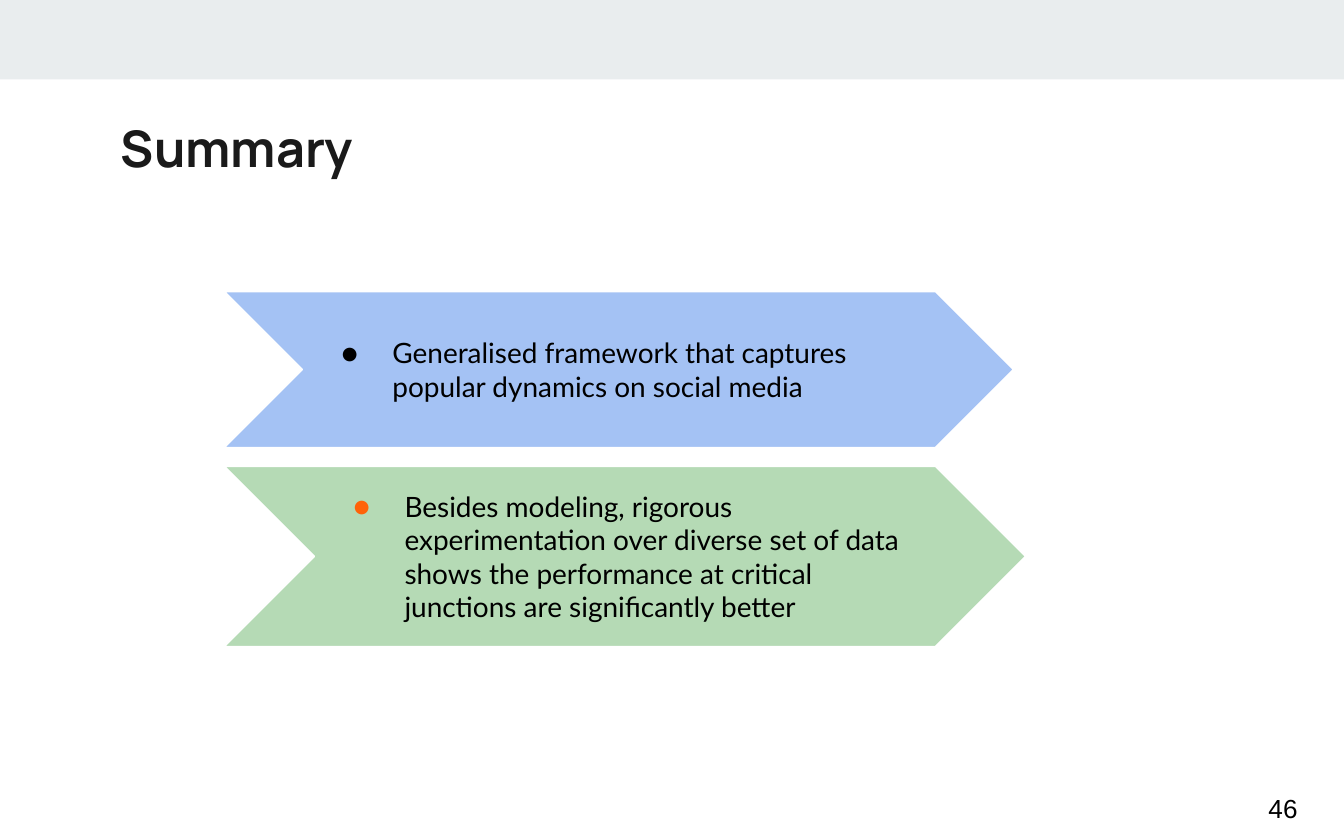
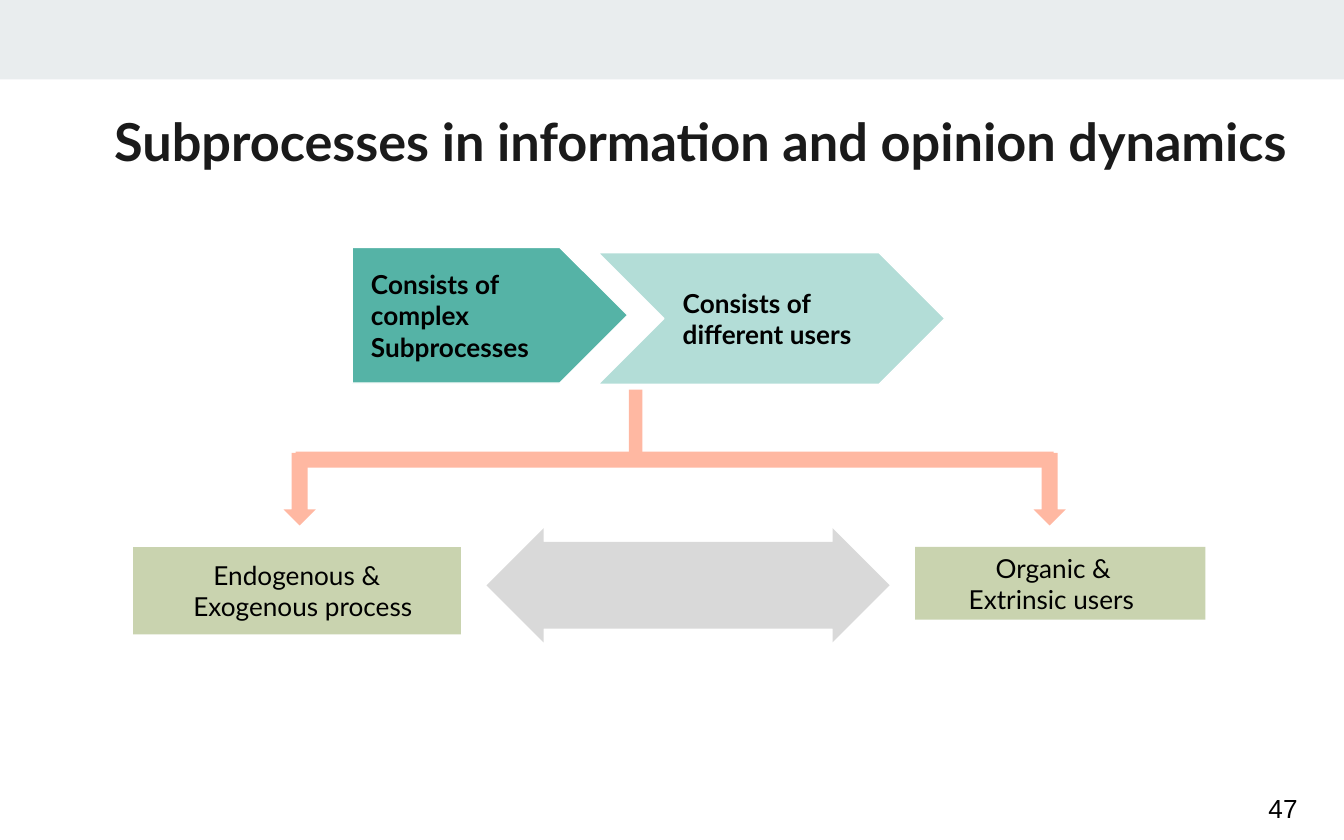
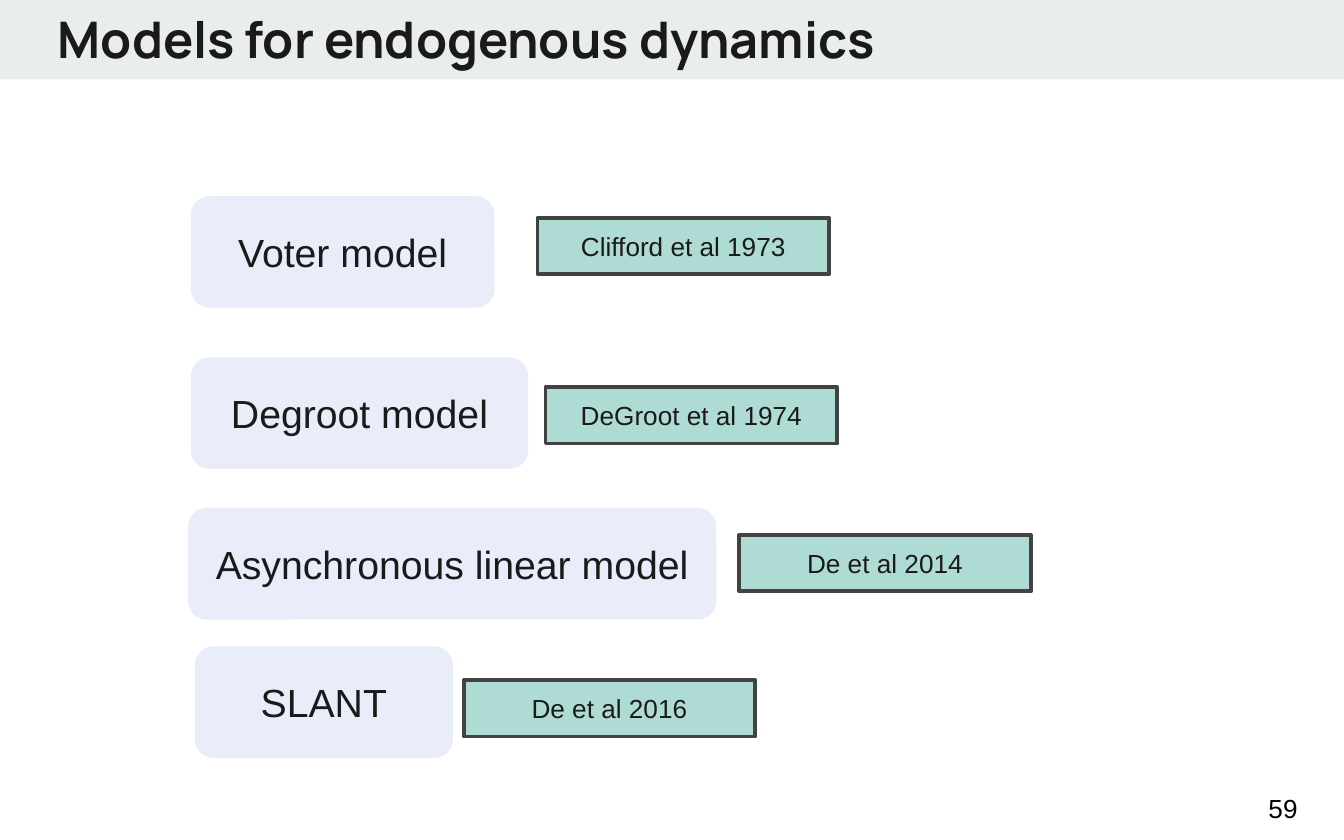
from lxml.etree import SubElement
from pptx import Presentation
from pptx.dml.color import RGBColor
from pptx.enum.shapes import MSO_SHAPE as Shape
from pptx.enum.text import MSO_ANCHOR as Anchor, MSO_AUTO_SIZE as AutoSize, PP_ALIGN as Align
from pptx.oxml.ns import qn
from pptx.util import Inches, Pt

COLORS = {
    "band": "E9EDEE",
    "title": "1A1A1A",
    "text": "000000",
    "white": "FFFFFF",
    "blue": "A4C2F4",
    "green": "008000",
    "orange": "FF6309",
    "teal": "1A9988",
    "olive": "A8B97F",
    "gray": "D9D9D9",
    "peach": "FFB8A2",
    "lavender": "C4D1F1",
    "border": "424242",
}
TITLE_LAYOUT = 5
BAND_BOX = (0, 0, 10, 0.59)
NUMBER_BOX = (9.34, 5.77, 0.6, 0.48)


def color(name):
    return RGBColor.from_string(COLORS[name])


def write(shape, text, size, font="Lato", ink="text", bold=False,
          align=Align.LEFT, anchor=Anchor.MIDDLE, inset=0.1):
    frame = shape.text_frame
    frame.text = text
    frame.word_wrap = True
    frame.auto_size = AutoSize.NONE
    frame.vertical_anchor = anchor
    frame.margin_left = frame.margin_right = Inches(inset)
    frame.margin_top = frame.margin_bottom = Inches(inset)
    for para in frame.paragraphs:
        para.alignment = align
        for span in para.runs:
            span.font.name = font
            span.font.size = Pt(size)
            span.font.bold = bold
            span.font.color.rgb = color(ink)


def indent(shape, margins, hanging=0):
    for properties, margin in zip(shape.element.iter(qn("a:pPr")), margins):
        properties.set("marL", str(Inches(margin)))
        properties.set("indent", str(Inches(-hanging)))


def add_bullet(shape, ink):
    properties = next(shape.element.iter(qn("a:pPr")))
    bullet_color = SubElement(properties, qn("a:buClr"))
    SubElement(bullet_color, qn("a:srgbClr"), val=COLORS[ink])
    SubElement(properties, qn("a:buFont"), typeface="Lato")
    SubElement(properties, qn("a:buChar"), char="●")


def add_block(page, kind, box, fill, opacity=100, line=None, weight=0.75):
    shape = page.shapes.add_shape(kind, *map(Inches, box))
    shape.shadow.inherit = False
    shape.fill.solid()
    shape.fill.fore_color.rgb = color(fill)
    if opacity < 100:
        tint = shape.element.spPr.find(qn("a:solidFill"))[0]
        SubElement(tint, qn("a:alpha"), val=str(opacity * 1000))
    if line:
        shape.line.color.rgb = color(line)
        shape.line.width = Pt(weight)
    else:
        shape.line.fill.background()
    return shape


def add_page(deck, title, box, number, font="Manrope", size=27):
    page = deck.slides.add_slide(deck.slide_layouts[TITLE_LAYOUT])
    heading = page.shapes.title
    heading.left, heading.top, heading.width, heading.height = map(Inches, box)
    write(heading, title, size, font, "title", True, anchor=Anchor.TOP)
    label = page.shapes.add_textbox(*map(Inches, NUMBER_BOX))
    write(label, str(number), 14, "Arial")
    return page


def move_band_to_layout(deck, page):
    band = add_block(page, Shape.RECTANGLE, BAND_BOX, "band")
    deck.slide_layouts[TITLE_LAYOUT].shapes.element.insert(2, band.element)


def add_point(page, box, text, fill, opacity, bullet):
    chevron = add_block(page, Shape.CHEVRON, box, fill, opacity, "white")
    write(chevron, text, 15, inset=0.14)
    indent(chevron, [0.53], 0.38)
    add_bullet(chevron, bullet)


def add_step(page, kind, box, text, opacity):
    step = add_block(page, kind, box, "teal", opacity, "white")
    write(step, text, 14, bold=True, inset=0.14)


def add_branch(page, box, text, margins):
    branch = add_block(page, Shape.RECTANGLE, box, "olive", 62)
    write(branch, text, 14)
    indent(branch, margins)


def add_fork(page, box):
    left, top, width, height = box
    head, stem = 0.24, 0.47
    for x in (left, left + width - head):
        add_block(page, Shape.DOWN_ARROW, (x, top + stem, head, height - stem), "peach")
    add_block(page, Shape.RECTANGLE, (left + 0.09, top + 0.46, width - 0.18, 0.12), "peach")
    add_block(page, Shape.RECTANGLE, (left + 2.57, top, 0.1, stem), "peach")


def add_model(page, box, name, citation, offset):
    left, top, width, height = box
    model = add_block(page, Shape.ROUNDED_RECTANGLE, box, "lavender", 38)
    write(model, name, 21, "Arial", "title", align=Align.CENTER, inset=0.05)
    gap, drop = offset
    source_box = (left + width + gap, top + drop, 2.17, 0.42)
    source = add_block(page, Shape.RECTANGLE, source_box, "teal", 35, "border", 2)
    write(source, citation, 14, "Arial", "title", align=Align.CENTER, inset=0.05)


def build_summary(deck):
    page = add_page(deck, "Summary", (0.8, 0.77, 8.41, 0.65), 46)
    move_band_to_layout(deck, page)
    add_point(page, (1.67, 2.17, 5.87, 1.16),
              "Generalised framework that captures popular dynamics on social media",
              "blue", 100, "text")
    add_point(page, (1.67, 3.47, 5.96, 1.34),
              "Besides modeling, rigorous experimentation over diverse set of data "
              "shows the performance at critical junctions are significantly better",
              "green", 29, "orange")


def build_subprocesses(deck):
    page = add_page(deck, "Subprocesses in information and opinion dynamics",
                    (0.75, 0.71, 9, 0.67), 47, "Lato", 28)
    add_step(page, Shape.PENTAGON, (2.62, 1.84, 2.05, 1.01),
             "Consists of complex Subprocesses", 74)
    add_step(page, Shape.CHEVRON, (4.45, 1.88, 2.58, 0.98),
             "Consists of different users", 33)
    add_fork(page, (2.11, 2.9, 5.82, 1.01))
    add_branch(page, (0.99, 4.07, 2.44, 0.65), "Endogenous &\nExogenous process", (0.5, 0.35))
    add_branch(page, (6.81, 4.07, 2.16, 0.54), "Organic &\nExtrinsic users", (0.5, 0.3))
    link = add_block(page, Shape.LEFT_RIGHT_ARROW, (3.62, 3.93, 3, 0.85), "gray")
    link.adjustments[0] = 0.76


def build_models(deck):
    page = add_page(deck, "Models for endogenous dynamics", (0.33, -0.04, 8.41, 0.65), 59)
    models = [
        ((1.42, 1.46, 2.26, 0.83), "Voter model", "Clifford et al 1973", (0.32, 0.16)),
        ((1.42, 2.66, 2.51, 0.83), "Degroot model", "DeGroot et al 1974", (0.13, 0.22)),
        ((1.4, 3.78, 3.93, 0.83), "Asynchronous linear model", "De et al 2014", (0.17, 0.2)),
        ((1.45, 4.81, 1.92, 0.83), "SLANT", "De et al 2016", (0.08, 0.25)),
    ]
    for model in models:
        add_model(page, *model)


def main():
    deck = Presentation()
    deck.slide_width = Inches(10)
    deck.slide_height = Inches(6.25)
    build_summary(deck)
    build_subprocesses(deck)
    build_models(deck)
    deck.save("out.pptx")


if __name__ == "__main__":
    main()
